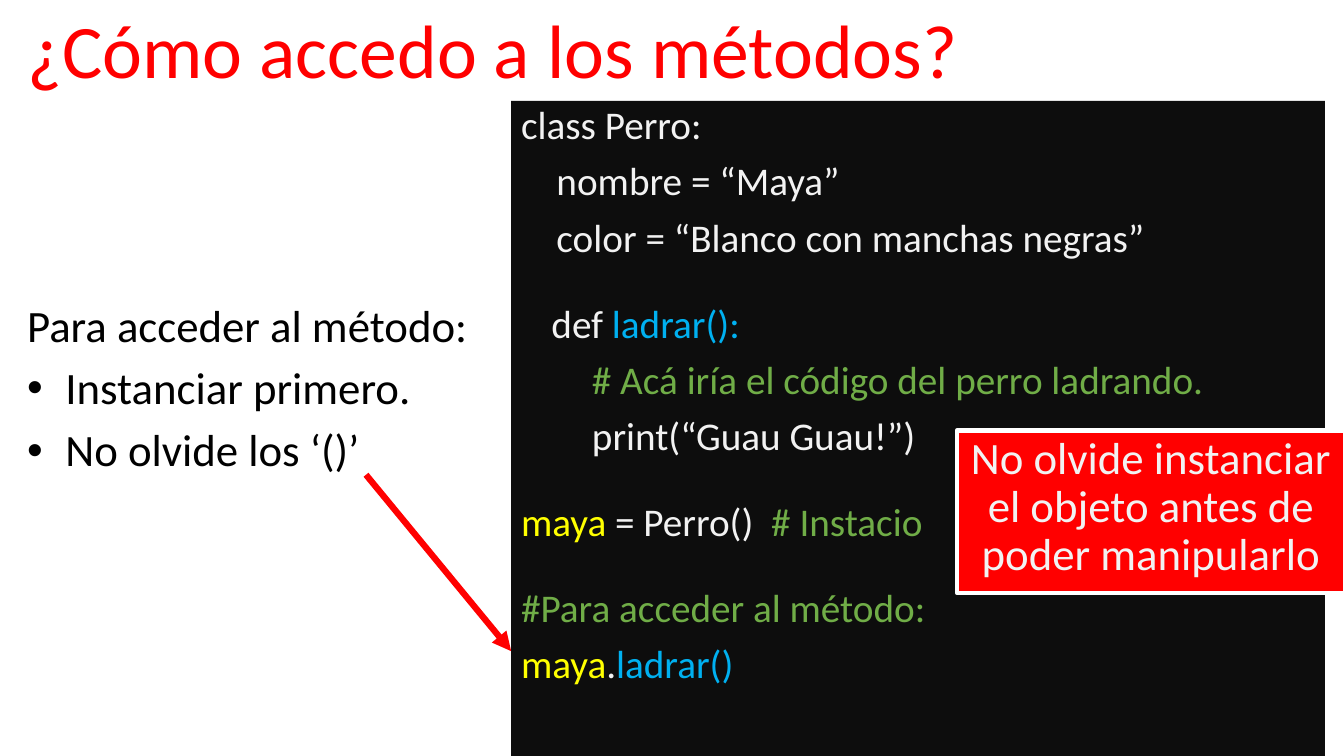
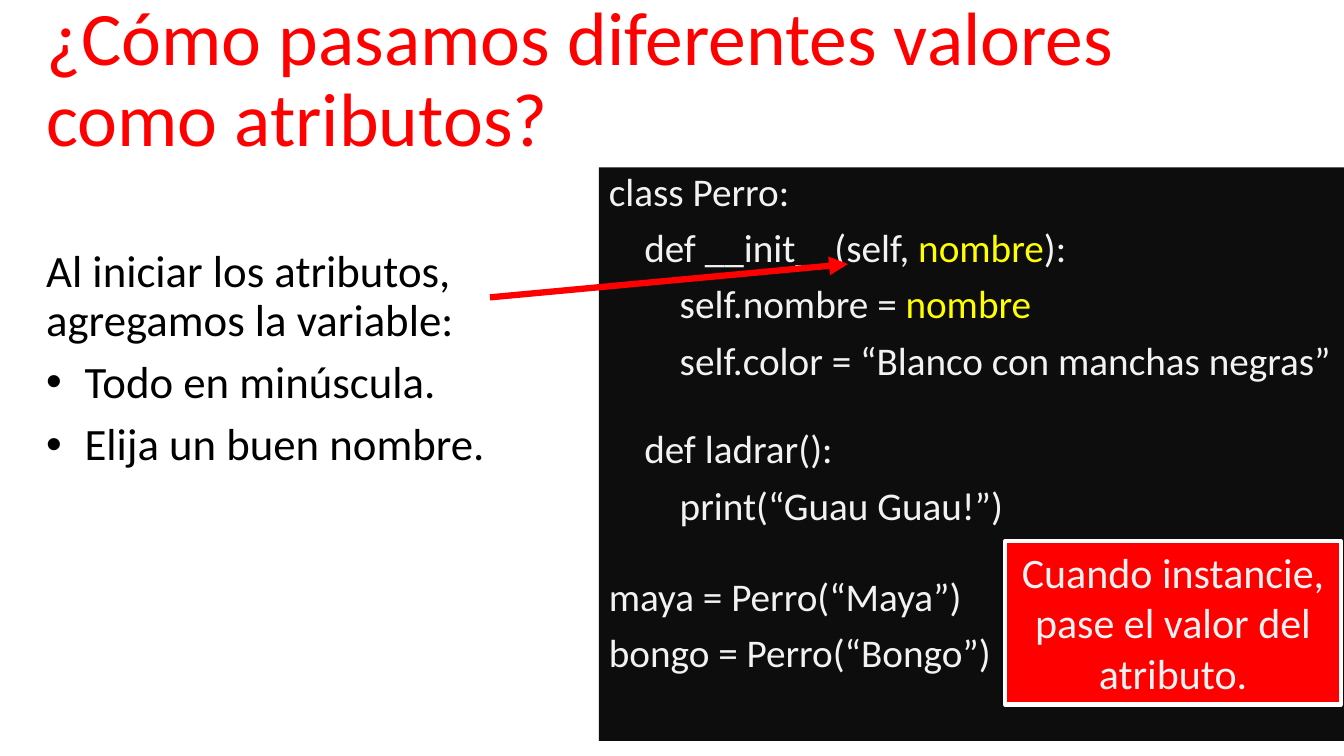
from dataclasses import dataclass

from lxml import etree
from pptx import Presentation
from pptx import util as u
from pptx.dml.color import RGBColor
from pptx.enum import shapes, text
from pptx.oxml import ns


@dataclass(frozen=True)
class Theme:
    font: str = "Calibri"
    red: str = "FF0000"
    black: str = "000000"
    white: str = "FFFFFF"
    panel: str = "0D0D0D"
    code: str = "F2F2F2"
    method: str = "00B0F0"
    comment: str = "70AD47"
    variable: str = "FFFF00"
    title_size: int = 54
    body_size: int = 32
    code_size: int = 28
    gap: int = 10
    spacing: float = 0.9


theme = Theme()

# Code lines are (space before, spans); a span is (text, colour) and, if unusual, a size.
slides = [
    {
        "title": ("¿Cómo accedo a los métodos?", (0.17, 0.2, 10.16, 0.79)),
        "notes": ("Para acceder al método:", ["Instanciar primero.", "No olvide los ‘()’"]),
        "notes_at": (0.17, 2.96, 4.78, 3.5),
        "code_at": (5.07, 1, 8.07, 6.5),
        "code": [
            (0, [("class Perro:", theme.code)]),
            (theme.gap, [("    nombre = “Maya”", theme.code)]),
            (theme.gap, [("    color = “Blanco con manchas negras”", theme.code)]),
            (31, [("    ", theme.code, 24), ("def ", theme.code), ("ladrar():", theme.method)]),
            (theme.gap, [("        ", theme.code),
                         ("# Acá iría el código del perro ladrando.", theme.comment)]),
            (theme.gap, [("        print(“Guau Guau!”)", theme.code)]),
            (31, [("maya", theme.variable), (" = Perro()  ", theme.code),
                  ("# Instacio", theme.comment)]),
            (31, [("#Para acceder al método:", theme.comment)]),
            (theme.gap, [("maya", theme.variable), (".", theme.code),
                         ("ladrar()", theme.method)]),
        ],
        "arrow": (3.63, 4.71, 5.07, 6.46),
        "callout": ("No olvide instanciar el objeto antes de poder manipularlo", 32, 0.9),
        "callout_at": (9.49, 4.27, 3.85, 1.61),
    },
    {
        "title": ("¿Cómo pasamos diferentes valores como atributos?", (0.36, 0.31, 11.34, 1.36)),
        "notes": ("Al iniciar los atributos, agregamos la variable:",
                  ["Todo en minúscula.", "Elija un buen nombre."]),
        "notes_at": (0.36, 2.42, 4.78, 2.93),
        "code_at": (5.94, 1.66, 7.39, 5.69),
        "code": [
            (0, [("class Perro:", theme.code)]),
            (theme.gap, [("    def __init__(self, ", theme.code), ("nombre", theme.variable),
                         ("):", theme.code)]),
            (theme.gap, [("        self.nombre = ", theme.code), ("nombre", theme.variable)]),
            (theme.gap, [("        self.color = “Blanco con manchas negras”", theme.code)]),
            (33, [("    def ladrar():", theme.code)]),
            (theme.gap, [("        print(“Guau Guau!”)", theme.code)]),
            (35, [("maya = Perro(“Maya”)", theme.code)]),
            (theme.gap, [("bongo = Perro(“Bongo”)", theme.code)]),
        ],
        "arrow": (4.86, 2.95, 8.41, 2.62),
        "callout": ("Cuando instancie, pase el valor del atributo.", 30, 1.0),
        "callout_at": (9.97, 5.37, 3.33, 1.62),
    },
]


def style(para, size, color, before=0, spacing=theme.spacing, align=text.PP_ALIGN.LEFT):
    para.alignment = align
    para.line_spacing = spacing
    para.space_before = u.Pt(before)
    para.font.name = theme.font
    para.font.size = u.Pt(size)
    para.font.color.rgb = RGBColor.from_string(color)


def add_rect(page, place, fill):
    box = page.shapes.add_shape(shapes.MSO_SHAPE.RECTANGLE, *map(u.Inches, place))
    box.shadow.inherit = False
    box.fill.solid()
    box.fill.fore_color.rgb = RGBColor.from_string(fill)
    box.line.fill.background()
    box.text_frame.word_wrap = True
    box.text_frame.vertical_anchor = text.MSO_ANCHOR.TOP
    return box


deck = Presentation()
deck.slide_width, deck.slide_height = u.Inches(13.33), u.Inches(7.5)
title_only = deck.slide_layouts[5]

for content in slides:
    page = deck.slides.add_slide(title_only)

    # Title
    title = page.shapes.title
    words, place = content["title"]
    title.left, title.top, title.width, title.height = map(u.Inches, place)
    title.text_frame.text = words
    title.text_frame.word_wrap = True
    title.text_frame.auto_size = text.MSO_AUTO_SIZE.NONE
    title.text_frame.vertical_anchor = text.MSO_ANCHOR.BOTTOM
    style(title.text_frame.paragraphs[0], theme.title_size, theme.red)

    # Code panel
    frame = add_rect(page, content["code_at"], theme.panel).text_frame
    for number, (before, spans) in enumerate(content["code"]):
        para = frame.add_paragraph() if number else frame.paragraphs[0]
        style(para, theme.code_size, spans[0][1], before)
        for words, color, *size in spans:
            span = para.add_run()
            span.text = words
            if color != spans[0][1]:
                span.font.color.rgb = RGBColor.from_string(color)
            if size:
                span.font.size = u.Pt(size[0])

    # Explanation with bullets
    box = page.shapes.add_textbox(*map(u.Inches, content["notes_at"]))
    box.text_frame.word_wrap = True
    lead, bullets = content["notes"]
    para = box.text_frame.paragraphs[0]
    para.text = lead
    style(para, theme.body_size, theme.black)
    for words in bullets:
        para = box.text_frame.add_paragraph()
        para.text = words
        props = para._p.get_or_add_pPr()
        props.set("marL", str(u.Inches(0.38)))
        props.set("indent", str(u.Inches(-0.38)))
        etree.SubElement(props, ns.qn("a:buFont"), typeface="Arial")
        etree.SubElement(props, ns.qn("a:buChar"), char="•")
        style(para, theme.body_size, theme.black, theme.gap)

    # Arrow from the explanation to the code
    arrow = page.shapes.add_connector(
        shapes.MSO_CONNECTOR.STRAIGHT, *map(u.Inches, content["arrow"]))
    arrow.line.color.rgb = RGBColor.from_string(theme.red)
    arrow.line.width = u.Pt(4.5)
    etree.SubElement(arrow.line._get_or_add_ln(), ns.qn("a:tailEnd"), type="triangle")
    etree.SubElement(arrow._element.spPr, ns.qn("a:effectLst"))

    # Callout
    callout = add_rect(page, content["callout_at"], theme.red)
    callout.line.color.rgb = RGBColor.from_string(theme.white)
    callout.line.width = u.Pt(3)
    words, size, spacing = content["callout"]
    para = callout.text_frame.paragraphs[0]
    para.text = words
    style(para, size, theme.code, spacing=spacing, align=text.PP_ALIGN.CENTER)

deck.save("out.pptx")
